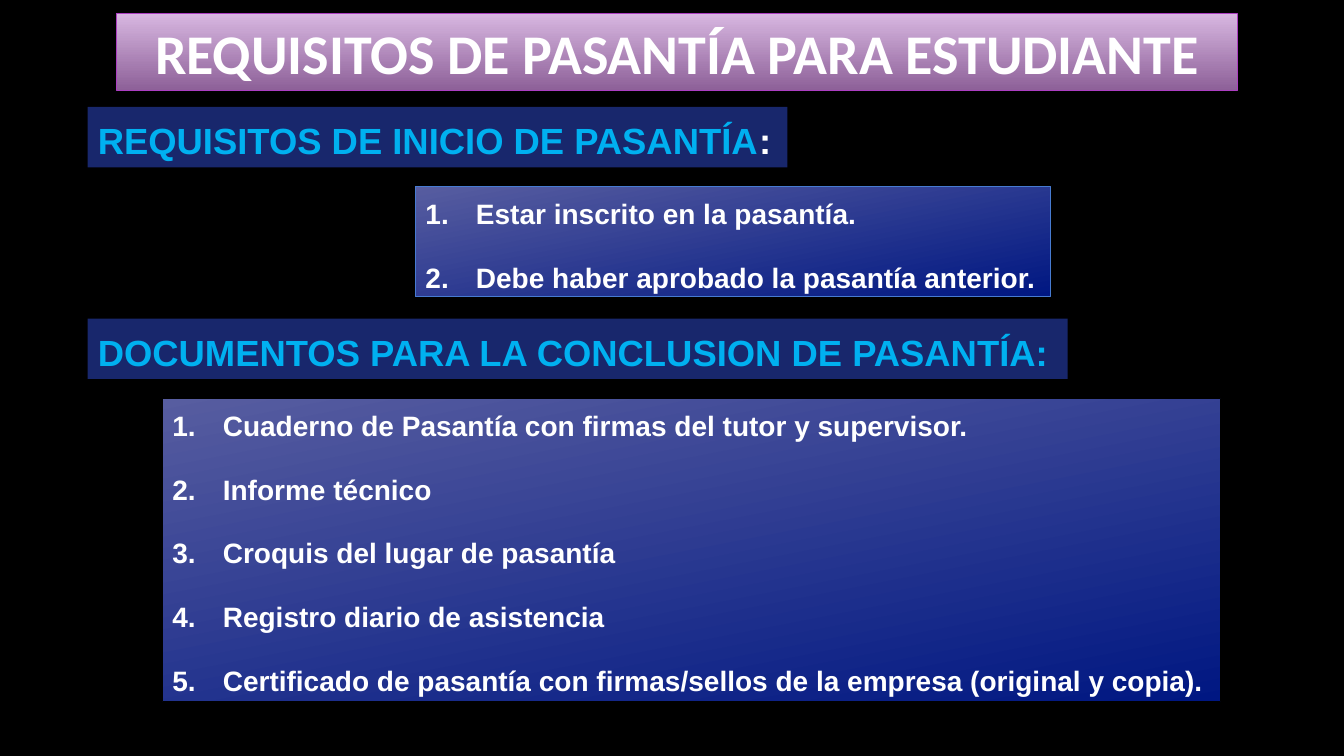
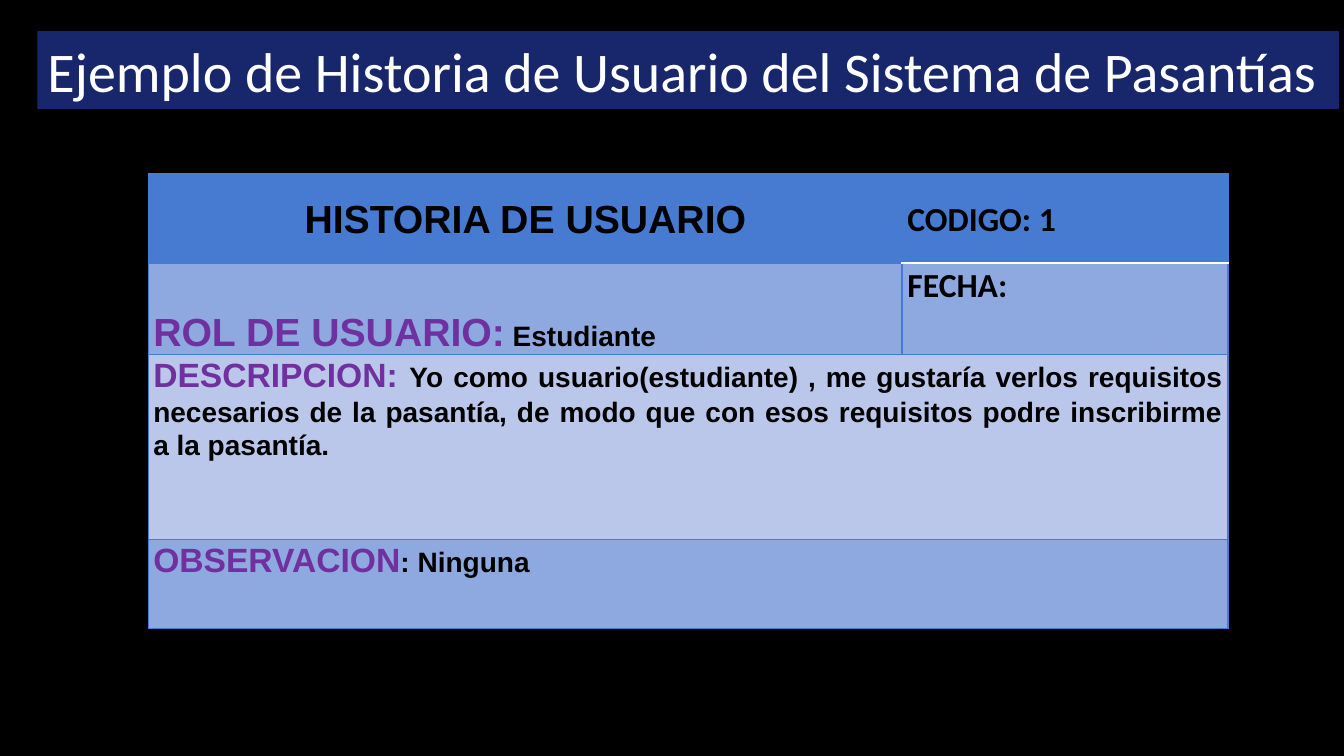
from lxml import etree
from pptx import Presentation
from pptx.dml.color import RGBColor
from pptx.enum import text as t
from pptx.oxml import ns
from pptx.util import Inches, Pt

# Shared colours and fonts
BLACK, WHITE = "000000", "FFFFFF"
NAVY, CYAN, PURPLE = "18276C", "00B0F0", "7030A0"
BLUE, MID_BLUE, PALE_BLUE = "477BD1", "8EA9DF", "BAC7EA"
LILAC_FADE = ("D8B7E1", "8D6098")
BLUE_FADE = ("575DA0", "001782")
SANS, TITLE_FONT = "Arial", "Calibri"
LEFT, CENTER, JUSTIFY = t.PP_ALIGN.LEFT, t.PP_ALIGN.CENTER, t.PP_ALIGN.JUSTIFY
TOP, MIDDLE, BOTTOM = t.MSO_ANCHOR.TOP, t.MSO_ANCHOR.MIDDLE, t.MSO_ANCHOR.BOTTOM


def colour(value):
    return RGBColor.from_string(value)


def add_span(para, words, size=20, font=SANS, color=BLACK, bold=True):
    span = para.add_run()
    span.text = words
    span.font.size, span.font.name, span.font.bold = Pt(size), font, bold
    span.font.color.rgb = colour(color)


def format_para(para, align=LEFT, line=1.0, before=0, after=0):
    para.alignment, para.line_spacing = align, line
    para.space_before, para.space_after = Pt(before), Pt(after)


def number_para(para):
    props = para._p.get_or_add_pPr()
    props.set("marL", str(Inches(0.5)))
    props.set("indent", str(-Inches(0.5)))
    etree.SubElement(props, ns.qn("a:buAutoNum"), type="arabicPeriod")


def place(box, left, top, width, height, fill, line=None, angle=270, anchor=TOP):
    """Position a placeholder; fill is one colour or a pair for a gradient."""
    box.left, box.top = Inches(left), Inches(top)
    box.width, box.height = Inches(width), Inches(height)
    box.shadow.inherit = False
    if isinstance(fill, tuple):
        box.fill.gradient()
        box.fill.gradient_angle = angle
        for stop, value, position in zip(box.fill.gradient_stops, fill, (0, 1)):
            stop.color.rgb, stop.position = colour(value), position
    else:
        box.fill.solid()
        box.fill.fore_color.rgb = colour(fill)
    if line:
        box.line.color.rgb, box.line.width = colour(line), Pt(0.75)
    else:
        box.line.fill.background()
    frame = box.text_frame
    frame.word_wrap, frame.auto_size = True, t.MSO_AUTO_SIZE.NONE
    frame.vertical_anchor = anchor
    return frame


def set_title(page, words, at, fill, line=None, align=LEFT, bold=False):
    para = place(page.shapes.title, *at, fill, line, anchor=MIDDLE).paragraphs[0]
    format_para(para, align)
    add_span(para, words, size=40, font=TITLE_FONT, color=WHITE, bold=bold)


def set_heading(box, at, spans):
    para = place(box, *at, NAVY).paragraphs[0]
    format_para(para, line=1.15, before=12, after=6)
    for words, color in spans:
        add_span(para, words, size=26, color=color)


def set_list(box, at, items, line, align=LEFT):
    frame = place(box, *at, BLUE_FADE, line, angle=281)
    for index, item in enumerate(items):
        para = frame.add_paragraph() if index else frame.paragraphs[0]
        format_para(para, align, line=1.15, before=12, after=6)
        number_para(para)
        add_span(para, item, color=WHITE)


def set_borders(cell, **changes):
    borders = {"L": (BLUE, 0.75), "R": (BLUE, 1.5), "T": (BLUE, 0.75), "B": (BLUE, 0.75)}
    borders.update(changes)
    props = cell._tc.get_or_add_tcPr()
    for side, (color, width) in borders.items():
        edge = etree.SubElement(props, ns.qn("a:ln" + side), w=str(Pt(width)))
        fill = etree.SubElement(edge, ns.qn("a:solidFill"))
        etree.SubElement(fill, ns.qn("a:srgbClr"), val=color)


def set_cell(cell, spans, fill, align=JUSTIFY, anchor=TOP):
    cell.margin_left = cell.margin_right = Inches(0.05)
    cell.margin_top = cell.margin_bottom = 0
    cell.vertical_anchor = anchor
    cell.fill.solid()
    cell.fill.fore_color.rgb = colour(fill)
    para = cell.text_frame.paragraphs[0]
    format_para(para, align, line=1.07)
    for words, style in spans:
        add_span(para, words, **style)


def add_requirements(deck):
    page = deck.slides.add_slide(deck.slide_layouts.get_by_name("Comparison"))
    set_title(page, "REQUISITOS DE PASANTÍA PARA ESTUDIANTE", (1.16, 0.13, 11.11, 0.77),
              LILAC_FADE, line="AC3EC1", align=CENTER, bold=True)
    _, start_heading, start_list, end_heading, end_list = page.placeholders
    set_heading(start_heading, (0.87, 1.06, 6.94, 0.6),
                [("REQUISITOS DE INICIO DE PASANTÍA", CYAN), (":", WHITE)])
    set_list(start_list, (4.12, 1.85, 6.3, 1.09), [
        "Estar inscrito en la pasantía.",
        "Debe haber aprobado la pasantía anterior.",
    ], line=BLUE)
    set_heading(end_heading, (0.87, 3.16, 9.72, 0.6),
                [("DOCUMENTOS PARA LA CONCLUSION DE PASANTÍA:", CYAN)])
    set_list(end_list, (1.61, 3.95, 10.5, 3.01), [
        "Cuaderno de Pasantía con firmas del tutor y supervisor.",
        "Informe técnico",
        "Croquis del lugar de pasantía",
        "Registro diario de asistencia",
        "Certificado de pasantía con firmas/sellos de la empresa (original y copia).",
    ], line=BLACK, align=JUSTIFY)


def add_user_story(deck):
    page = deck.slides.add_slide(deck.slide_layouts.get_by_name("Title Only"))
    set_title(page, "Ejemplo de Historia de Usuario del Sistema de Pasantías",
              (0.37, 0.31, 12.91, 0.77), NAVY)

    # Story card grid
    widths, heights = (7.48, 3.23), (0.89, 0.91, 1.83, 0.89)
    card = page.shapes.add_table(len(heights), len(widths), Inches(1.47), Inches(1.72),
                                 Inches(sum(widths)), Inches(sum(heights))).table
    card.first_row = card.horz_banding = False
    for column, width in zip(card.columns, widths):
        column.width = Inches(width)
    for row, height in zip(card.rows, heights):
        row.height = Inches(height)
    white_edge = {(0, 1): {"B": (WHITE, 1.5)}, (1, 1): {"T": (WHITE, 1.5)}}
    for row in range(len(heights)):
        for column in range(len(widths)):
            set_borders(card.cell(row, column), **white_edge.get((row, column), {}))
    for row in (2, 3):
        card.cell(row, 0).merge(card.cell(row, 1))

    # Story card text
    label = {"size": 24, "color": PURPLE}
    side = {"size": 24, "font": TITLE_FONT}
    set_cell(card.cell(0, 0), [("HISTORIA DE USUARIO", {"size": 28})], BLUE, CENTER, MIDDLE)
    set_cell(card.cell(0, 1), [("CODIGO: 1", side)], BLUE, LEFT, MIDDLE)
    set_cell(card.cell(1, 0), [("ROL DE USUARIO:", {"size": 28, "color": PURPLE}),
                               (" Estudiante", {})], MID_BLUE, anchor=BOTTOM)
    set_cell(card.cell(1, 1), [("FECHA:", side)], MID_BLUE)
    set_cell(card.cell(2, 0), [
        ("DESCRIPCION: ", label),
        ("Yo como usuario(estudiante) , me gustaría verlos requisitos necesarios de la "
         "pasantía, de modo que con esos requisitos podre inscribirme a la pasantía.", {}),
    ], PALE_BLUE)
    set_cell(card.cell(3, 0), [("OBSERVACION", label), (": Ninguna", {})], MID_BLUE)


def main():
    deck = Presentation()
    deck.slide_width, deck.slide_height = Inches(13.33), Inches(7.5)
    backdrop = deck.slide_master.background.fill
    backdrop.solid()
    backdrop.fore_color.rgb = colour(BLACK)
    add_requirements(deck)
    add_user_story(deck)
    deck.save("out.pptx")


if __name__ == "__main__":
    main()
